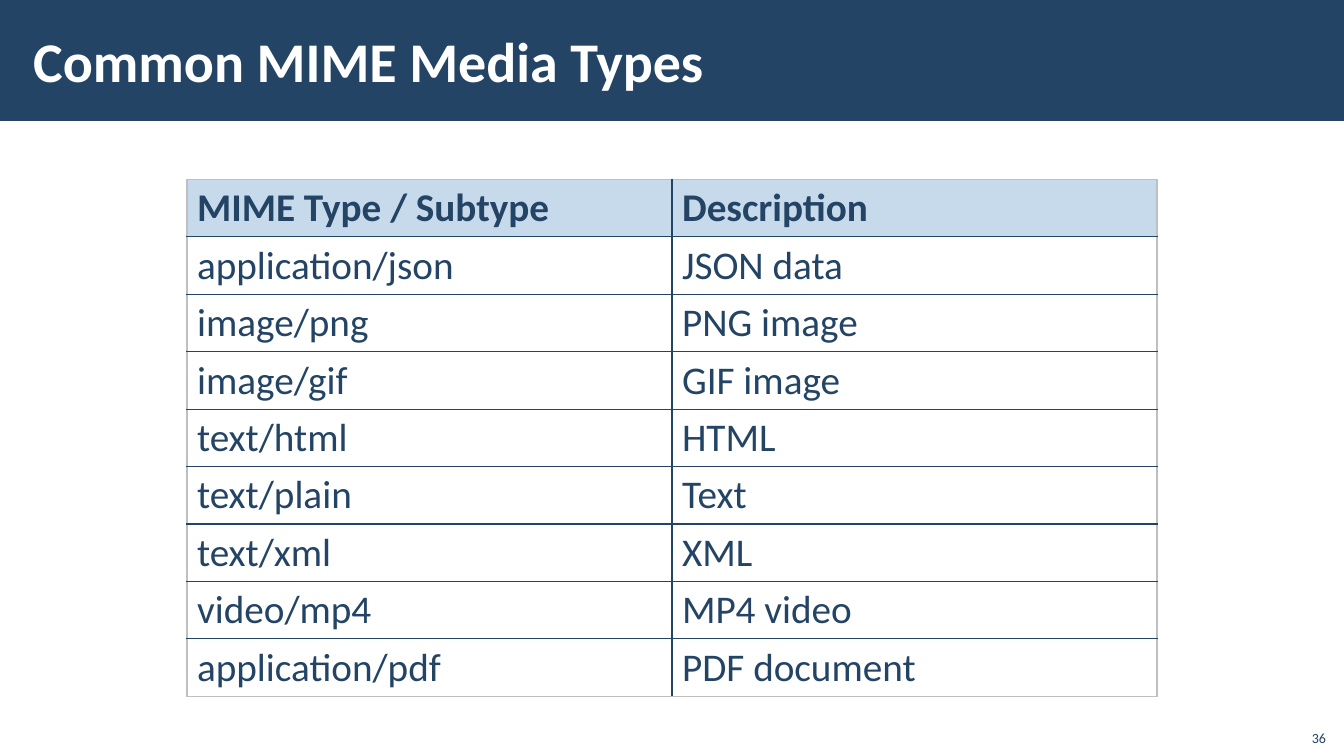
import pptx
import pptx.util
import pptx.dml.color
import pptx.enum.shapes
import pptx.enum.text
import pptx.oxml.ns
import lxml.etree

TITLE = "Common MIME Media Types"
PAGE_NUMBER = "36"
MEDIA_TYPES = [
    ("MIME Type / Subtype", "Description"),
    ("application/json", "JSON data"),
    ("image/png", "PNG image"),
    ("image/gif", "GIF image"),
    ("text/html", "HTML"),
    ("text/plain", "Text"),
    ("text/xml", "XML"),
    ("video/mp4", "MP4 video"),
    ("application/pdf", "PDF document"),
]
NAVY, PALE, WHITE, GREY = "234465", "C7DAEC", "FFFFFF", "BFBFBF"
WIDTH, HEIGHT = 13.33, 7.5
BANNER_HEIGHT = 0.16 * HEIGHT
COLUMN_WIDTH, ROW_HEIGHT, TABLE_TOP = 4.81, 0.57, 1.78

inch = pptx.util.Inches
anchors = pptx.enum.text.MSO_ANCHOR
aligns = pptx.enum.text.PP_ALIGN


def color(value):
    return pptx.dml.color.RGBColor.from_string(value)


def write(frame, text, size, tint, bold=False, align=aligns.LEFT):
    para = frame.paragraphs[0]
    para.alignment = align
    span = para.add_run()
    span.text = text
    span.font.name = "Calibri"
    span.font.size = pptx.util.Pt(size)
    span.font.bold = bold
    span.font.color.rgb = color(tint)


def add_text(page, place, text, size, tint, anchor, **style):
    frame = page.shapes.add_textbox(*map(inch, place)).text_frame
    frame.word_wrap = True
    frame.vertical_anchor = anchor
    frame.margin_left = frame.margin_right = inch(0.12 if size > 20 else 0.1)
    frame.margin_top = frame.margin_bottom = inch(0.04)
    write(frame, text, size, tint, **style)


def add_border(cell, side, tint, points):
    properties = cell._tc.get_or_add_tcPr()
    name = pptx.oxml.ns.qn
    line = lxml.etree.Element(name(f"a:{side}"), w=str(pptx.util.Pt(points)))
    fill = lxml.etree.SubElement(line, name("a:solidFill"))
    lxml.etree.SubElement(fill, name("a:srgbClr"), val=tint)
    fills = [i for i, part in enumerate(properties) if part.tag.endswith("Fill")]
    properties.insert(fills[0] if fills else len(properties), line)


def add_media_table(page):
    row_count, column_count = len(MEDIA_TYPES), len(MEDIA_TYPES[0])
    width = column_count * COLUMN_WIDTH
    place = ((WIDTH - width) / 2, TABLE_TOP, width, row_count * ROW_HEIGHT)
    table = page.shapes.add_table(row_count, column_count, *map(inch, place)).table
    table.horz_banding = False
    for r, entry in enumerate(MEDIA_TYPES):
        for c, text in enumerate(entry):
            cell = table.cell(r, c)
            if r == 0:
                cell.fill.solid()
                cell.fill.fore_color.rgb = color(PALE)
            else:
                cell.fill.background()
            edges = {
                "lnL": c == 0,
                "lnR": c == column_count - 1,
                "lnT": r == 0,
                "lnB": r == row_count - 1,
            }
            for side, outer in edges.items():
                add_border(cell, side, GREY if outer else NAVY, 1)
            write(cell.text_frame, text, 28, NAVY, bold=r == 0)


def main():
    """Build the media types slide and save it."""
    deck = pptx.Presentation()
    deck.slide_width, deck.slide_height = inch(WIDTH), inch(HEIGHT)
    page = deck.slides.add_slide(deck.slide_layouts[6])
    banner = page.shapes.add_shape(
        pptx.enum.shapes.MSO_SHAPE.RECTANGLE, 0, 0, inch(WIDTH), inch(BANNER_HEIGHT)
    )
    banner.shadow.inherit = False
    banner.fill.solid()
    banner.fill.fore_color.rgb = color(NAVY)
    banner.line.fill.background()
    add_text(page, (12.85, 7.12, 0.4, 0.32), PAGE_NUMBER, 10, NAVY,
             anchors.BOTTOM, align=aligns.RIGHT)
    add_text(page, (0.21, 0.11, 10.63, 0.97), TITLE, 40, WHITE,
             anchors.MIDDLE, bold=True)
    add_media_table(page)
    deck.save("out.pptx")


if __name__ == "__main__":
    main()
